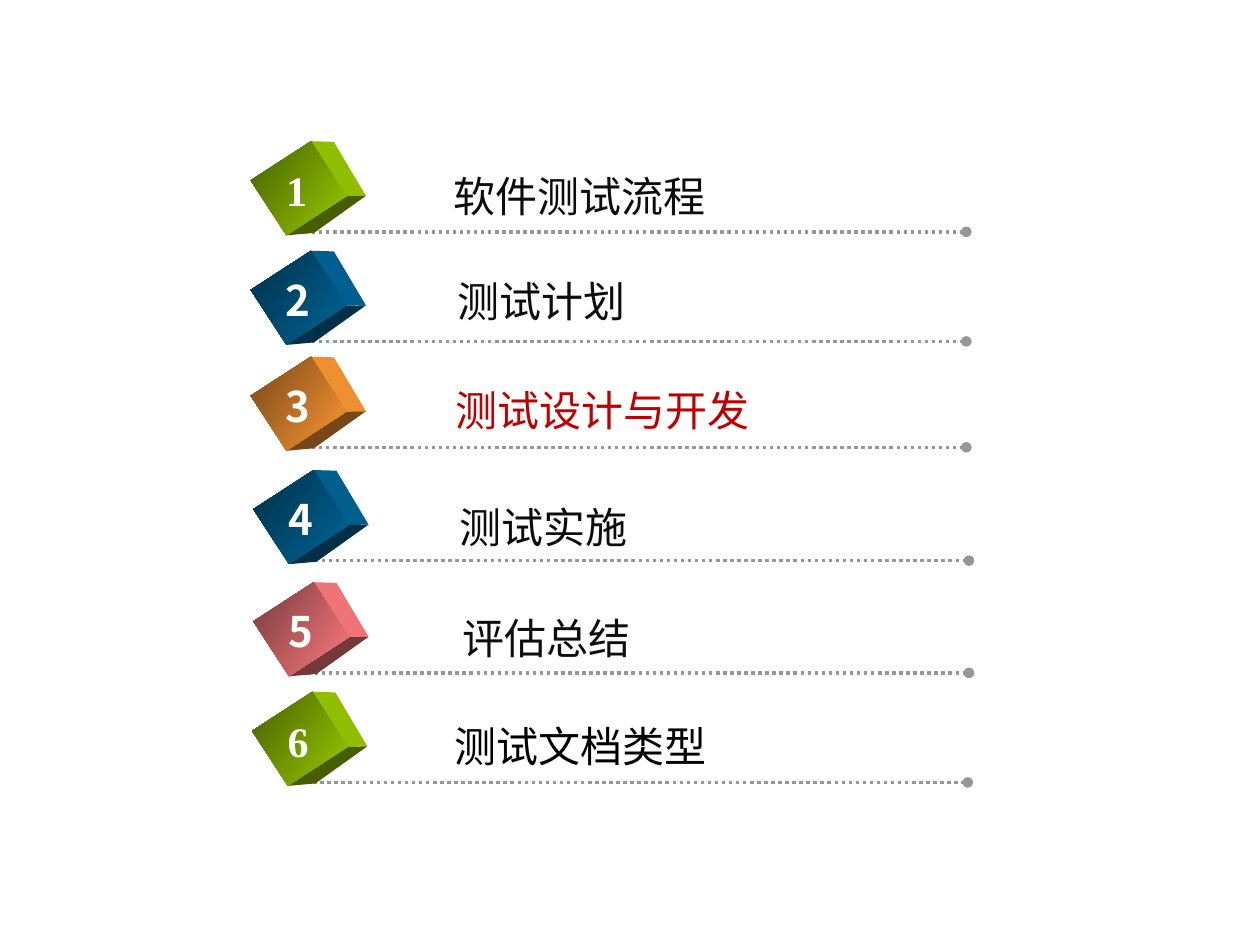
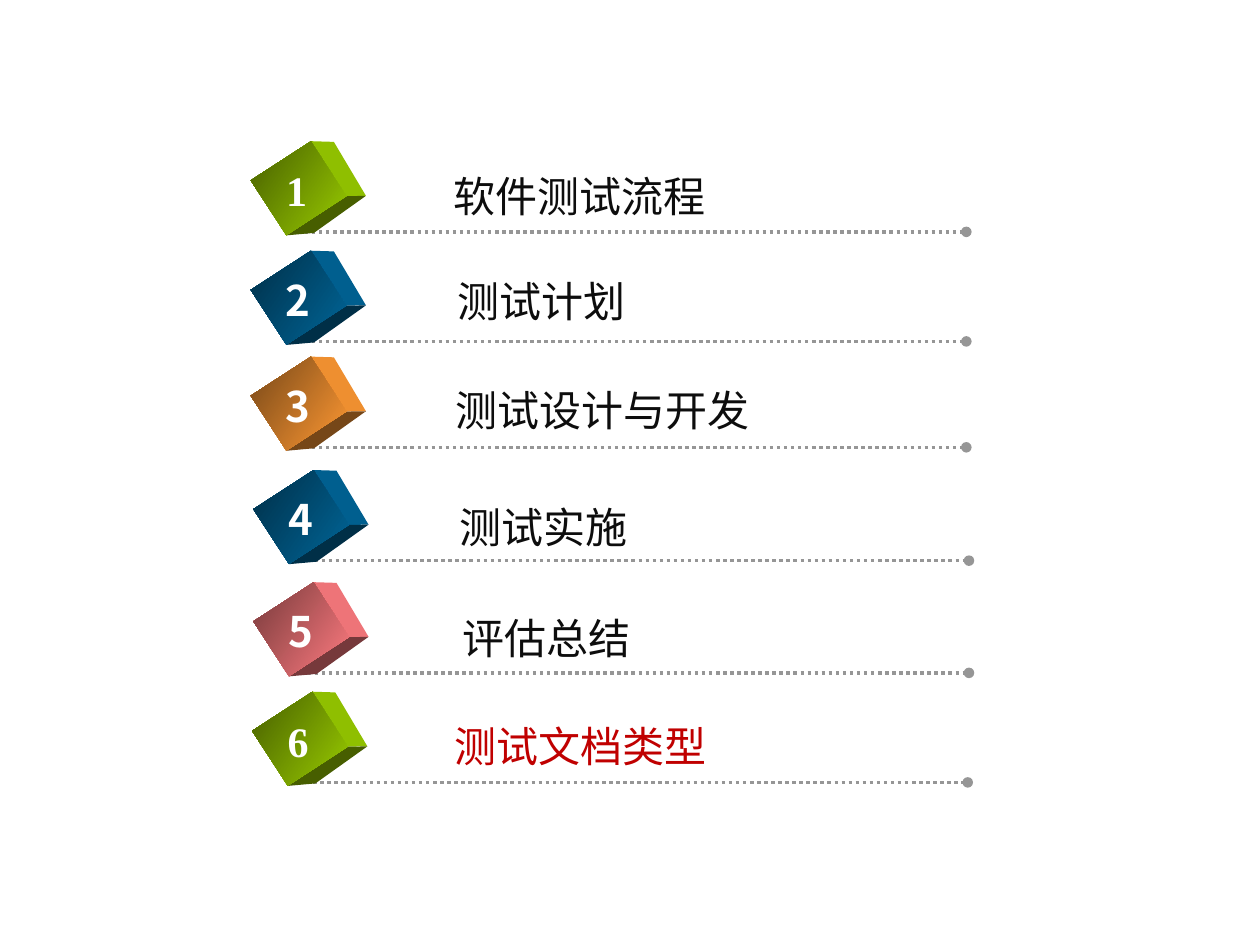
"""Build two agenda slides, each highlighting the current topic among six numbered cubes."""
from lxml import etree
from pptx import Presentation
from pptx.dml.color import RGBColor
from pptx.enum.dml import MSO_LINE
from pptx.enum.shapes import MSO_CONNECTOR, MSO_SHAPE
from pptx.enum.text import MSO_AUTO_SIZE, PP_ALIGN
from pptx.oxml.ns import qn
from pptx.util import Pt

RECTANGLE = MSO_SHAPE.RECTANGLE
STRAIGHT = MSO_CONNECTOR.STRAIGHT
DOTTED = MSO_LINE.ROUND_DOT
LEFT, CENTER = PP_ALIGN.LEFT, PP_ALIGN.CENTER
FIT_TEXT = MSO_AUTO_SIZE.SHAPE_TO_FIT_TEXT

SANS, SERIF = "Noto Sans CJK SC", "Times New Roman"
COLORS = {
    "ink": "0D0D0D", "black": "000000", "white": "FFFFFF",
    "current": "C00000", "rule": "969696",
    "green": "99CC00", "green side": "8FBF00", "green shade": "475E00",
    "blue": "006699", "blue side": "005F8F", "blue shade": "002F47",
    "orange": "FF9933", "orange side": "EE8F30", "orange shade": "764718",
    "pink": "FF7C80", "pink side": "EE7478", "pink shade": "76393B",
}
TOPICS = [
    ("软件测试流程", "green", SERIF, "ink", 174.2, 132.5, 252, 93.6),
    ("测试计划", "blue", SANS, "ink", 174.2, 195.1, 254.2, 154.1),
    ("测试设计与开发", "orange", SANS, "ink", 174.2, 255.6, 253.4, 216),
    ("测试实施", "blue", SANS, "ink", 175.7, 320.4, 255.6, 283),
    ("评估总结", "pink", SANS, "ink", 175.7, 384.5, 257, 346.3),
    ("测试文档类型", "green", SERIF, "black", 175, 447.1, 252.7, 408.2),
]
CURRENT_TOPICS = ["测试设计与开发", "测试文档类型"]
RULE_LENGTH, TEXT_SIZE, TEXT_HEIGHT = 378, 24, 36.7
FACE_WIDTH, FACE_HEIGHT, FACE_TURN = 37.4, 41, 57
CUBE_SIDES = {
    "side": [(7, -26.9), (20.2, -26.5), (38.5, 4.3), (27.4, 4.5)],
    "shade": [(27.4, 4.5), (38.5, 4.3), (8.8, 25.5), (-7, 26.9)],
}


def rgb(name):
    return RGBColor.from_string(COLORS[name])


def add_text(slide, text, left, top, width, color="ink", font=SANS, bold=False, align=LEFT):
    box = slide.shapes.add_textbox(Pt(left), Pt(top), Pt(width), Pt(TEXT_HEIGHT))
    frame = box.text_frame
    frame.word_wrap = False
    frame.auto_size = FIT_TEXT
    paragraph = frame.paragraphs[0]
    paragraph.alignment = align
    run = paragraph.add_run()
    run.text = text
    run.font.size = Pt(TEXT_SIZE)
    run.font.name = font
    run.font.bold = bold
    run.font.color.rgb = rgb(color)
    etree.SubElement(run.font._element, qn("a:ea"), typeface=font)


deck = Presentation()
deck.slide_width, deck.slide_height = Pt(720), Pt(540)

for current in CURRENT_TOPICS:
    slide = deck.slides.add_slide(deck.slide_layouts[6])
    for number, (topic, hue, digit_font, ink, x, y, label_x, label_y) in enumerate(TOPICS, 1):
        rule = slide.shapes.add_connector(STRAIGHT, Pt(x), Pt(y), Pt(x + RULE_LENGTH), Pt(y))
        rule.line.color.rgb = rgb("rule")
        rule.line.width = Pt(2)
        rule.line.dash_style = DOTTED
        etree.SubElement(rule.line._get_or_add_ln(), qn("a:tailEnd"), type="oval")
        etree.SubElement(rule._element.spPr, qn("a:effectLst"))

        center_x, center_y = x - 3.6, y - 24.9
        for tone, corners in CUBE_SIDES.items():
            points = [(Pt(center_x + dx), Pt(center_y + dy)) for dx, dy in corners]
            outline = slide.shapes.build_freeform(*points[0])
            outline.add_line_segments(points[1:], close=True)
            side = outline.convert_to_shape()
            side.shadow.inherit = False
            side.fill.solid()
            side.fill.fore_color.rgb = rgb(f"{hue} {tone}")
            side.line.fill.background()

        face = slide.shapes.add_shape(
            RECTANGLE, Pt(center_x - FACE_WIDTH / 2), Pt(center_y - FACE_HEIGHT / 2),
            Pt(FACE_WIDTH), Pt(FACE_HEIGHT))
        face.rotation = FACE_TURN
        face.shadow.inherit = False
        face.line.fill.background()
        face.fill.gradient()
        face.fill.gradient_angle = 202
        for stop, tone in zip(face.fill.gradient_stops, (hue, f"{hue} shade")):
            stop.color.rgb = rgb(tone)

        add_text(slide, topic, label_x, label_y, len(topic) * TEXT_SIZE + 14.4,
                 color="current" if topic == current else ink)
        add_text(slide, str(number), x - 18, y - 42, 26.6, color="white",
                 font=digit_font, bold=True, align=CENTER)

deck.save("out.pptx")
